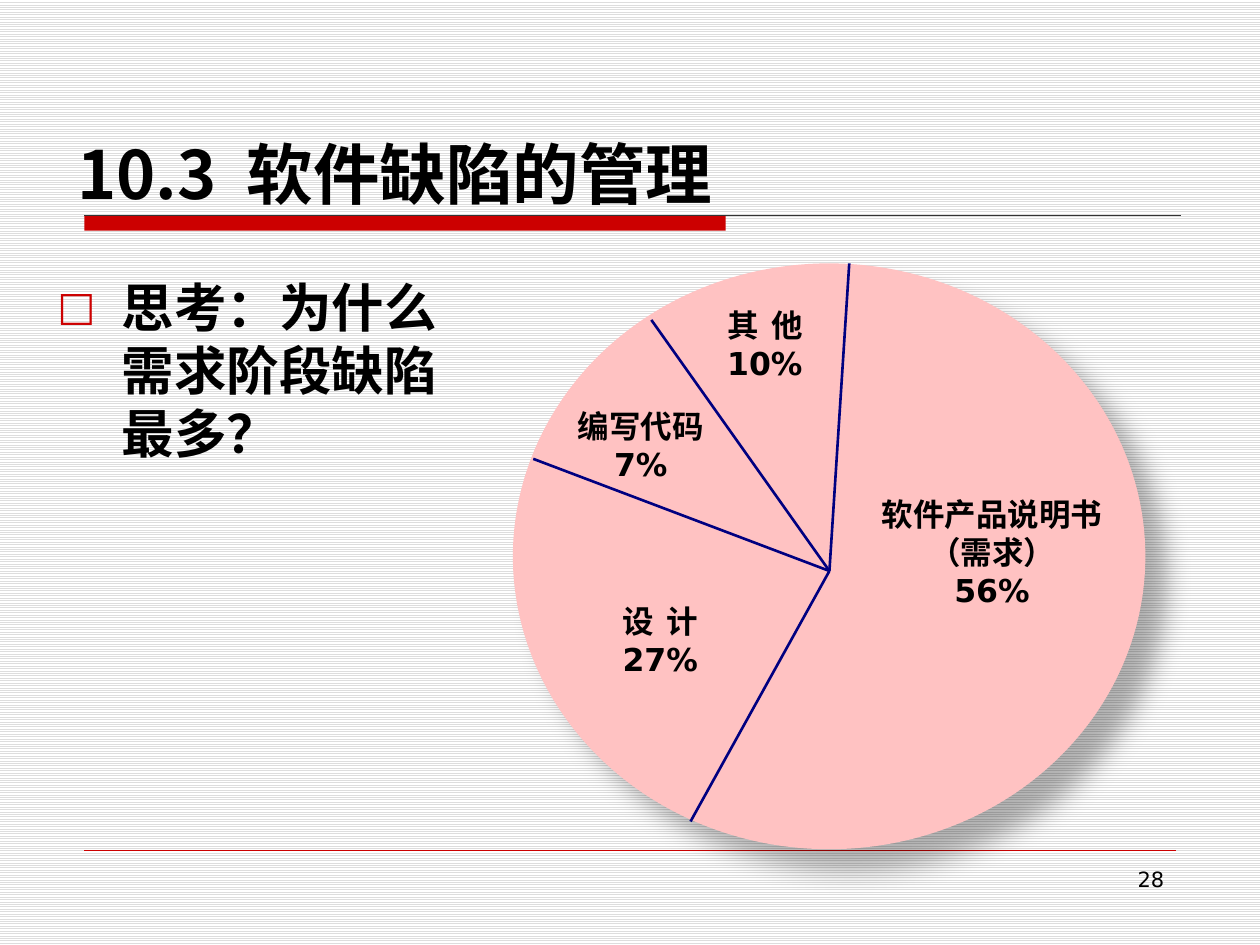
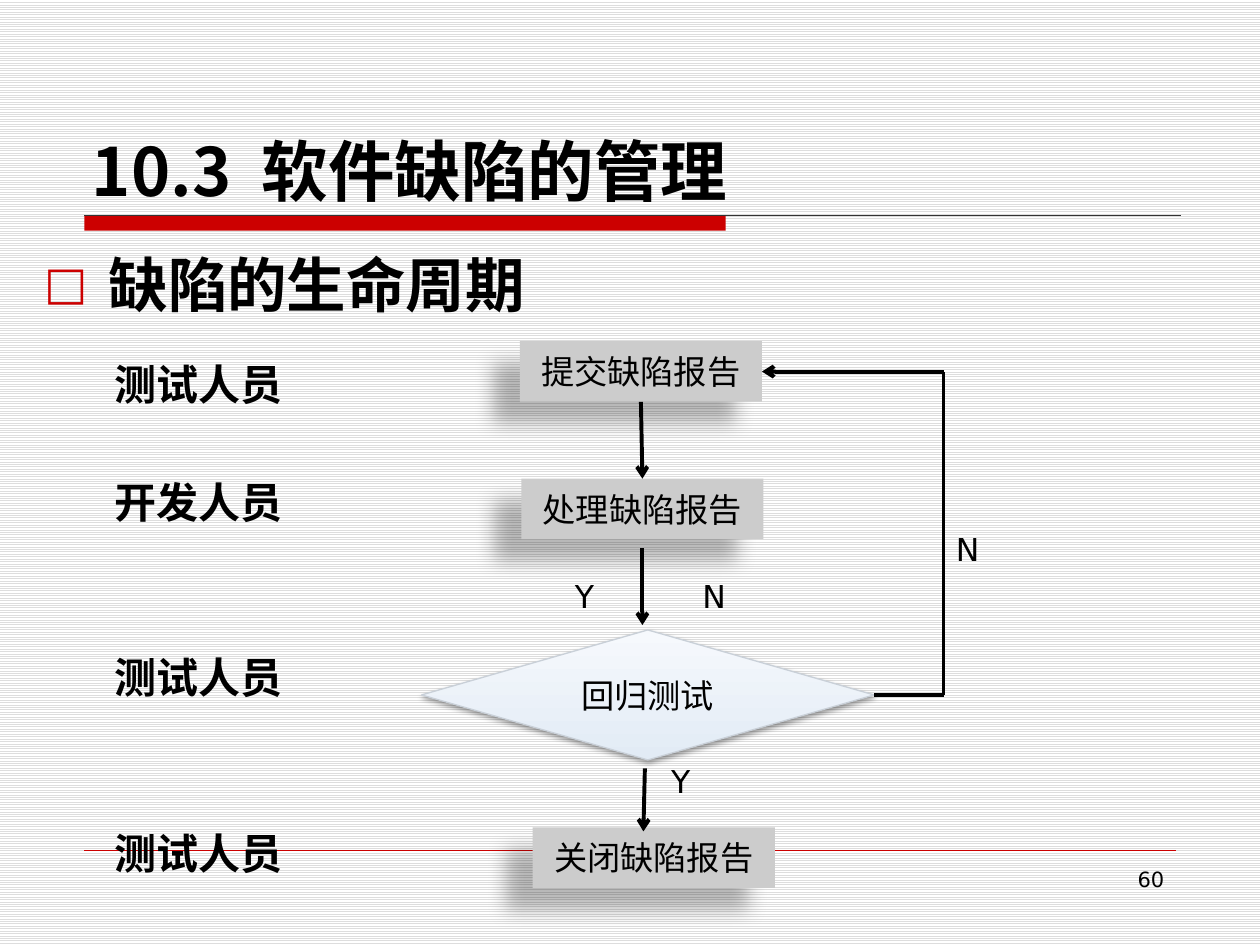
from lxml.etree import SubElement
from pptx import Presentation
from pptx.dml.color import RGBColor
from pptx.enum.dml import MSO_PATTERN
from pptx.enum.shapes import MSO_CONNECTOR, MSO_SHAPE
from pptx.enum.text import MSO_ANCHOR, MSO_AUTO_SIZE, PP_ALIGN
from pptx.oxml.ns import qn
from pptx.util import Cm, Pt

COLORS = {
    "red": "CC0000", "rule": "333333", "text": "000000", "white": "FFFFFF",
    "stripe": "DDDDDD", "pie": "FFC2C2", "navy": "000080", "step": "CCCCCC",
    "pale": "E2EBF5", "paler": "F6F9FD", "edge": "C9D0D8",
}
LATIN, CJK = "DejaVu Sans", "Noto Sans CJK SC"
TITLE = "10.3 软件缺陷的管理"
LEADING = 1.2


def color(name):
    return RGBColor.from_string(COLORS[name])


def write(p, text, size, font=LATIN, bold=False, align=PP_ALIGN.LEFT, gap=0):
    """Fill a paragraph; gap widens its first space by that many points."""
    if gap:
        for part in text.partition(" "):
            p.add_run().text = part
        p.runs[1]._r.get_or_add_rPr().set("spc", str(int(gap * 100)))
    else:
        p.text = text
    p.alignment = align
    p.line_spacing = Pt(round(size * LEADING, 1))
    for r in p.runs:
        r.font.size, r.font.bold = Pt(size), bold
        r.font.color.rgb = color("text")
        r.font.name = font
        SubElement(r._r.get_or_add_rPr(), qn("a:ea"), typeface=CJK)


def add_bullet(p):
    pPr = p._p.get_or_add_pPr()
    pPr.set("marL", str(Cm(1.3)))
    pPr.set("indent", str(-Cm(1.3)))
    clr = SubElement(pPr, qn("a:buClr"))
    SubElement(clr, qn("a:srgbClr"), val=COLORS["red"])
    SubElement(pPr, qn("a:buSzPct"), val="77000")
    SubElement(pPr, qn("a:buFont"), typeface=LATIN)
    SubElement(pPr, qn("a:buChar"), char="□")


def add_text(s, left, top, width, height, margin=True):
    tf = s.shapes.add_textbox(Cm(left), Cm(top), Cm(width), Cm(height)).text_frame
    tf.word_wrap = True
    if not margin:
        tf.margin_left = tf.margin_right = tf.margin_top = tf.margin_bottom = 0
    return tf


def add_bullet_text(s, text, size, left, top, width, height):
    p = add_text(s, left, top, width, height).paragraphs[0]
    add_bullet(p)
    write(p, text, size, bold=True)


def add_preset(s, kind, left, top, width, height, fill=None, shadow=None):
    """shadow is opacity in percent, blur and distance in points, angle."""
    sp = s.shapes.add_shape(kind, Cm(left), Cm(top), Cm(width), Cm(height))
    if fill:
        sp.fill.solid()
        sp.fill.fore_color.rgb = color(fill)
    sp.line.fill.background()
    sp.shadow.inherit = False
    if shadow:
        alpha, blur, dist, angle = shadow
        outer = SubElement(
            sp._element.spPr.find(qn("a:effectLst")), qn("a:outerShdw"),
            blurRad=str(Pt(blur)), dist=str(Pt(dist)), dir=str(angle * 60000),
            algn="ctr", rotWithShape="0")
        clr = SubElement(outer, qn("a:srgbClr"), val=COLORS["text"])
        SubElement(clr, qn("a:alpha"), val=str(alpha * 1000))
    return sp


def add_line(s, start, end, name, width, arrow=False):
    ends = [Cm(v) for v in (*start, *end)]
    line = s.shapes.add_connector(MSO_CONNECTOR.STRAIGHT, *ends)
    line.line.color.rgb = color(name)
    line.line.width = Pt(width)
    if arrow:
        SubElement(line.line._get_or_add_ln(), qn("a:tailEnd"), type="arrow")
    SubElement(line._element.spPr, qn("a:effectLst"))
    return line


def add_frame(prs, number, title_left, title_top):
    """Title, red band, footer rule and page number."""
    s = prs.slides.add_slide(prs.slide_layouts[5])
    left, top, right = 1.7, 4.34, 23.8
    add_preset(s, MSO_SHAPE.RECTANGLE, left, top, 12.93, 0.31, "red")
    add_line(s, (left, top), (right, top), "rule", 0.75)
    add_line(s, (left, 17.15), (23.7, 17.15), "red", 0.25)
    tf = add_text(s, 18.21, 17.35, 5.51, 1.32)
    write(tf.paragraphs[0], number, 12, align=PP_ALIGN.RIGHT)

    title = s.shapes.title
    title.left, title.top = Cm(title_left), Cm(title_top)
    title.width, title.height = Cm(22.23), Cm(3.38)
    tf = title.text_frame
    tf.auto_size = MSO_AUTO_SIZE.NONE
    tf.vertical_anchor = MSO_ANCHOR.BOTTOM
    write(tf.paragraphs[0], TITLE, 38, CJK, bold=True, gap=8.6)
    return s


def add_defect_pie(s, left, top, width, height):
    """Disc cut into shares by lines from an off-centre hub."""
    add_preset(s, MSO_SHAPE.OVAL, left, top, width, height, "pie", (30, 15, 18, 45))
    hub = (left + 6.38, top + 6.2)
    for x, y in ((6.78, 0), (3.58, 11.25), (0.41, 3.94), (2.79, 1.14)):
        add_line(s, hub, (left + x, top + y), "navy", 1.5)

    # Share labels: middle, top, width
    shares = (
        ("其 他", "10%", 5.08, 0.86, 2, 3),
        ("软件产品说明书（需求）", "56%", 9.66, 4.67, 5, 0),
        ("编写代码", "7%", 2.58, 2.9, 3.58, 0),
        ("设 计", "27%", 2.97, 6.83, 2, 3),
    )
    for cause, share, x, y, w, gap in shares:
        tf = add_text(s, left + x - w / 2, top + y, w, 2.2, margin=False)
        write(tf.paragraphs[0], cause, 18, bold=True, align=PP_ALIGN.CENTER, gap=gap)
        write(tf.add_paragraph(), share, 18, bold=True, align=PP_ALIGN.CENTER)


def add_roles(s, left, top, width, height):
    """Roles down the side, a whole number of rows apart."""
    size, row = 24, 33.5
    tf = add_text(s, left, top, width, height)
    roles = (("测试人员", 0), ("开发人员", 2), ("测试人员", 3), ("测试人员", 3))
    for i, (role, rows) in enumerate(roles):
        p = tf.add_paragraph() if i else tf.paragraphs[0]
        write(p, role, size, CJK, bold=True)
        if i:
            p.space_before = Pt(round(rows * row - size * LEADING, 1))


def add_life_cycle(s, left, top):
    """Flow of a defect report, with the way back on the right."""
    def at(x, y):
        return left + x, top + y

    def label(sp, text):
        tf = sp.text_frame
        tf.vertical_anchor = MSO_ANCHOR.MIDDLE
        write(tf.paragraphs[0], text, 19, CJK, align=PP_ALIGN.CENTER)

    # Steps
    steps = []
    for text, x, y in (("提交缺陷报告", 1.98, 0), ("处理缺陷报告", 2.01, 2.77),
                       ("关闭缺陷报告", 2.24, 9.8)):
        sp = add_preset(s, MSO_SHAPE.RECTANGLE, *at(x, y), 4.88, 1.22, "step",
                        (28, 11.8, 19.7, 141))
        label(sp, text)
        steps.append(sp)

    # Decision
    test = add_preset(s, MSO_SHAPE.DIAMOND, *at(0, 5.82), 9.12, 2.62,
                      shadow=(38, 3.1, 1.6, 90))
    test.fill.gradient()
    test.fill.gradient_angle = 90
    for stop, name in zip(test.fill.gradient_stops, ("pale", "paler")):
        stop.color.rgb = color(name)
    test.line.color.rgb = color("edge")
    test.line.width = Pt(0.75)
    label(test, "回归测试")

    # Way down
    down = add_line(s, at(4.42, 1.22), at(4.45, 2.77), "text", 2.25, arrow=True)
    down.begin_connect(steps[0], 2)
    down.end_connect(steps[1], 0)
    add_line(s, at(4.45, 4.17), at(4.45, 5.72), "text", 2.25, arrow=True)
    add_line(s, at(4.5, 8.61), at(4.47, 9.88), "text", 2.25, arrow=True)

    # Way back
    corner, upper, lower = 10.52, 0.61, 7.13
    out = add_line(s, at(9.12, lower), at(corner, lower), "text", 2.25)
    out.begin_connect(test, 3)
    add_line(s, at(corner, lower), at(corner, upper), "text", 2.25)
    back = add_line(s, at(corner, upper), at(6.86, upper), "text", 2.25, arrow=True)
    back.end_connect(steps[0], 3)

    # Answers
    for text, x, y in (("Y", 2.84, 4.62), ("N", 5.41, 4.62),
                       ("Y", 4.78, 8.36), ("N", 10.52, 3.68)):
        write(add_text(s, *at(x, y), 1.5, 1.07).paragraphs[0], text, 18)


def main():
    prs = Presentation()
    prs.slide_width, prs.slide_height = Cm(25.4), Cm(19.05)
    fill = prs.slide_master.background.fill
    fill.patterned()
    fill.pattern = MSO_PATTERN.LIGHT_HORIZONTAL
    fill.fore_color.rgb, fill.back_color.rgb = color("stripe"), color("white")

    s = add_frame(prs, "28", 1.3, 1.04)
    add_bullet_text(s, "思考：为什么需求阶段缺陷最多？", 30, 0.91, 5.41, 9.04, 5.82)
    add_defect_pie(s, 10.34, 5.31, 12.75, 11.81)

    s = add_frame(prs, "60", 1.6, 0.97)
    add_bullet_text(s, "缺陷的生命周期", 34, 0.64, 4.88, 10.34, 1.7)
    add_roles(s, 2.06, 7.11, 6, 11)
    add_life_cycle(s, 8.5, 6.88)

    prs.save("out.pptx")


if __name__ == "__main__":
    main()
